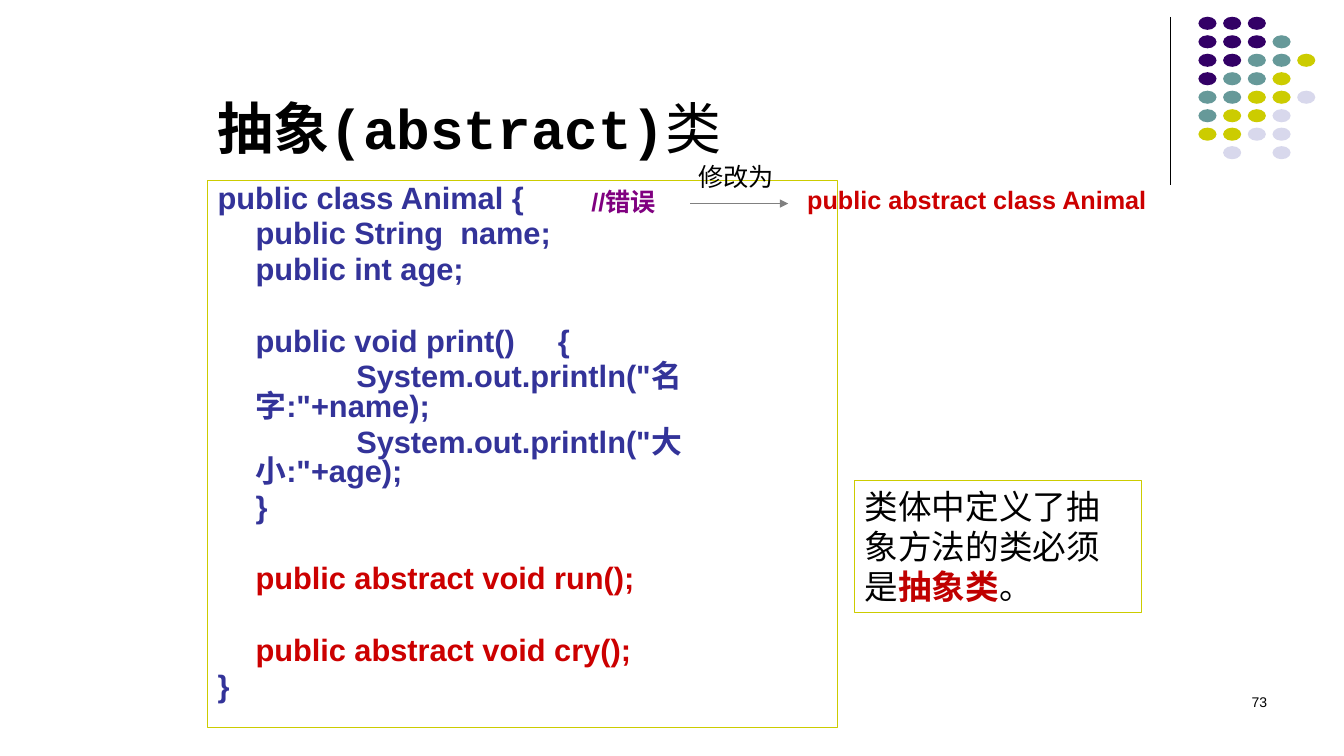
from lxml import etree
from pptx import Presentation
from pptx.dml.color import RGBColor
from pptx.enum.shapes import MSO_CONNECTOR, MSO_SHAPE
from pptx.enum.text import MSO_ANCHOR, MSO_AUTO_SIZE, PP_ALIGN
from pptx.oxml.ns import qn
from pptx.util import Pt

LINE = MSO_CONNECTOR.STRAIGHT
OVAL, RECT = MSO_SHAPE.OVAL, MSO_SHAPE.RECTANGLE
TOP, BOTTOM = MSO_ANCHOR.TOP, MSO_ANCHOR.BOTTOM
FIXED, GROW = MSO_AUTO_SIZE.NONE, MSO_AUTO_SIZE.SHAPE_TO_FIT_TEXT
LEFT, MID, RIGHT = PP_ALIGN.LEFT, PP_ALIGN.CENTER, PP_ALIGN.RIGHT

HUES = {
    "black": "000000", "gray": "808080", "navy": "333399", "red": "CC0000",
    "dark": "C00000", "plum": "800080", "purple": "330066",
    "teal": "669999", "lime": "CCCC00", "pale": "D8D8EC",
}
DOTS = ["PPP", "PPPT", "PPTTY", "PTTY", "TTYYL", "TYYL", "YYLL", " L L"]
KEYS = {"P": "purple", "T": "teal", "Y": "lime", "L": "pale"}

TIGHT, WIDE = 4.4, 30  # space before a code line, without and with a gap
CODE = [
    ("public class Animal {", "navy", 0),
    ("\tpublic String  name;", "navy", TIGHT),
    ("\tpublic int age;", "navy", TIGHT),
    ("\tpublic void print() \t{", "navy", WIDE),
    ("\t\tSystem.out.println(\"名字:\"+name);", "navy", TIGHT),
    ("\t\tSystem.out.println(\"大小:\"+age);", "navy", TIGHT),
    ("\t}", "navy", TIGHT),
    ("\tpublic abstract void run();", "red", WIDE),
    ("\tpublic abstract void cry();", "red", WIDE),
    ("}", "navy", TIGHT),
]


class Board:
    """Holds the current slide and the style of its elements."""

    face = "Arial"
    thin = 0.75

    def __init__(self, slide):
        self.slide = slide
        self.shapes = slide.shapes

    def hue(self, name):
        return RGBColor.from_string(HUES[name])

    def font(self, font, size, hue, bold=False, face=None):
        font.name = face or self.face
        font.size = Pt(size)
        font.bold = bold
        font.color.rgb = self.hue(hue)

    def edge(self, line, hue):
        line.color.rgb = self.hue(hue)
        line.width = Pt(self.thin)

    def place(self, shape, box):
        shape.left, shape.top, shape.width, shape.height = map(Pt, box)

    def title(self, box, lead, rest):
        shape = self.shapes.title
        self.place(shape, box)
        frame = shape.text_frame
        frame.auto_size = FIXED
        frame.vertical_anchor = BOTTOM
        para = frame.paragraphs[0]
        para.alignment = LEFT
        self.font(para.font, 40, "black")
        run = para.add_run()
        run.text = lead
        run.font.name = "Courier New"
        run.font.bold = True
        para.add_run().text = rest

    def code(self, box, lines):
        shape = self.slide.placeholders[1]
        self.place(shape, box)
        self.edge(shape.line, "lime")
        frame = shape.text_frame
        frame.auto_size = FIXED
        frame.vertical_anchor = TOP
        for num, (text, hue, gap) in enumerate(lines):
            para = frame.add_paragraph() if num else frame.paragraphs[0]
            para.text = text
            para.line_spacing = 0.8
            para.space_before = Pt(gap)
            props = para._p.get_or_add_pPr()
            props.set("marL", str(Pt(27)))
            props.set("indent", str(Pt(-27)))
            props.set("defTabSz", str(Pt(72)))
            etree.SubElement(props, qn("a:buNone"))
            self.font(para.font, 22, hue, True)

    def text(self, box, text, size, hue, bold=False, align=LEFT,
             wrap=True, fit=GROW, space=1.0):
        shape = self.shapes.add_textbox(*map(Pt, box))
        frame = shape.text_frame
        frame.word_wrap = wrap
        frame.auto_size = fit
        para = frame.paragraphs[0]
        para.text = text
        para.alignment = align
        para.line_spacing = space
        self.font(para.font, size, hue, bold)

    def note(self, box, parts):
        """Draws a framed note; parts are (text, strong) pairs."""
        shape = self.shapes.add_shape(RECT, *map(Pt, box))
        shape.shadow.inherit = False
        shape.fill.background()
        self.edge(shape.line, "lime")
        frame = shape.text_frame
        frame.word_wrap = True
        frame.auto_size = GROW
        frame.vertical_anchor = TOP
        para = frame.paragraphs[0]
        para.alignment = LEFT
        self.font(para.font, 24, "black")
        for text, strong in parts:
            run = para.add_run()
            run.text = text
            run.font.bold = strong
            run.font.color.rgb = self.hue("dark" if strong else "black")

    def line(self, ends, hue, arrow=False):
        link = self.shapes.add_connector(LINE, *map(Pt, ends))
        self.edge(link.line, hue)
        if arrow:
            tail = etree.SubElement(link.line._get_or_add_ln(), qn("a:tailEnd"))
            tail.set("type", "triangle")
        etree.SubElement(link._element.spPr, qn("a:effectLst"))

    def dots(self, left, top, rows):
        for row, keys in enumerate(rows):
            for col, key in enumerate(keys):
                if key not in KEYS:
                    continue
                box = (left + col * 17.64, top + row * 13.2, 12.96, 9.36)
                dot = self.shapes.add_shape(OVAL, *map(Pt, box))
                dot.shadow.inherit = False
                dot.fill.solid()
                dot.fill.fore_color.rgb = self.hue(KEYS[key])
                dot.line.fill.background()


def main():
    deck = Presentation()
    deck.slide_width, deck.slide_height = Pt(960), Pt(540)
    board = Board(deck.slides.add_slide(deck.slide_layouts[1]))

    board.line((836, 12, 836, 132), "black")
    board.dots(856, 12, DOTS)
    board.text((688.3, 491.8, 224, 36), "73", 10, "black",
               align=RIGHT, fit=FIXED)
    board.title((148.3, 16.6, 613.4, 101.5), "抽象(abstract)", "类")
    board.code((148.3, 128.9, 450, 391), CODE)
    board.text((569.5, 128.2, 259.2, 29.5), "public abstract class Animal",
               18, "red", True, wrap=False)
    board.line((493.2, 145.4, 563, 145.4), "gray", arrow=True)
    board.text((486, 111.6, 79.2, 28.8), "修改为", 18, "black", align=MID)
    board.note((610.6, 343.4, 204.5, 94.3), [
        ("类体中定义了抽象方法的类必须是", False),
        ("抽象类", True),
        ("。", False),
    ])
    board.text((415.4, 133.9, 69.8, 24.5), "//错误", 18, "plum", True,
               space=0.8)
    deck.save("out.pptx")


if __name__ == "__main__":
    main()
